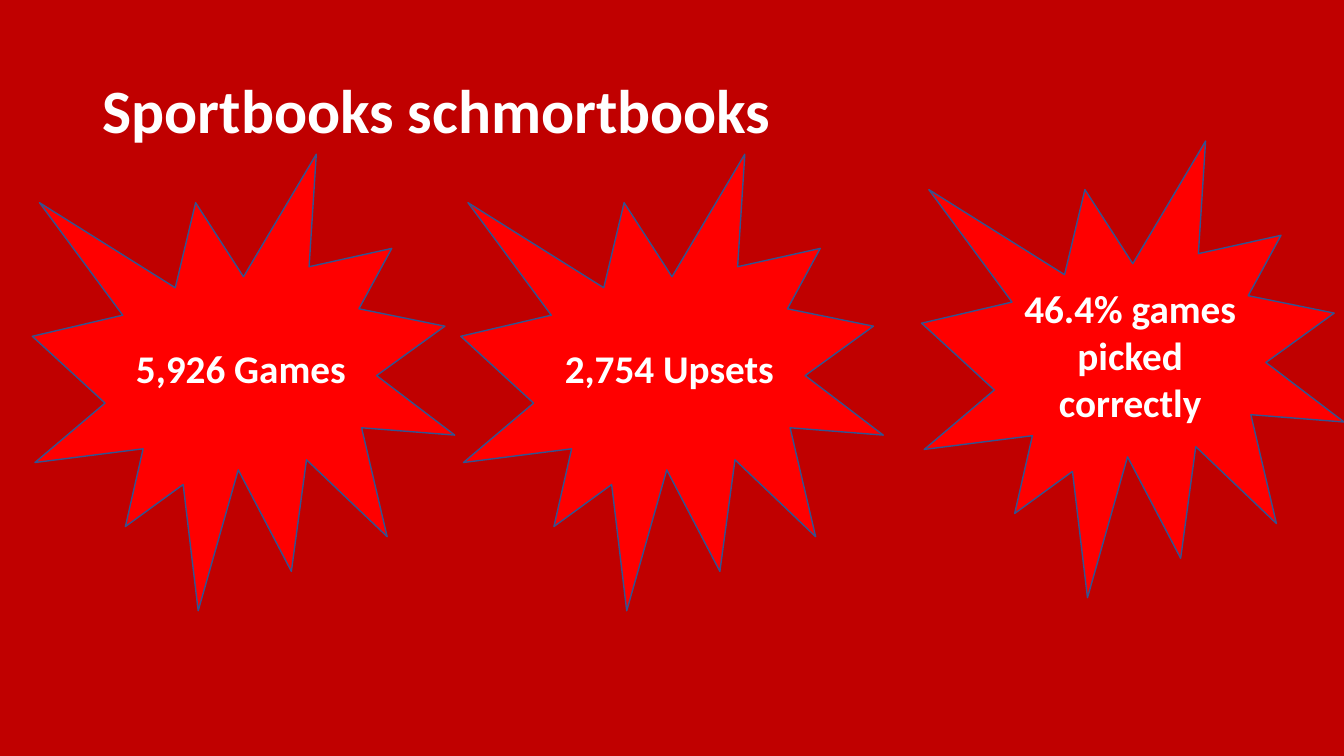
"""Build the slide of three starbursts with betting results."""
from pptx import Presentation
from pptx.dml.color import RGBColor
from pptx.enum.shapes import MSO_SHAPE
from pptx.enum.text import MSO_ANCHOR, PP_ALIGN
from pptx.util import Inches, Pt

BURST = MSO_SHAPE.EXPLOSION1
MIDDLE = MSO_ANCHOR.MIDDLE
LEFT, CENTER = PP_ALIGN.LEFT, PP_ALIGN.CENTER


def paint(color, value):
    """Set a colour from a hex string."""
    color.rgb = RGBColor.from_string(value)


def write(sp, text, size, align, spacing):
    """Put bold white text in the middle of a shape."""
    tf = sp.text_frame
    tf.word_wrap = True
    tf.vertical_anchor = MIDDLE
    p = tf.paragraphs[0]
    p.alignment = align
    p.line_spacing = spacing
    r = p.add_run()
    r.text = text
    for name, value in {"name": "Calibri", "size": Pt(size), "bold": True}.items():
        setattr(r.font, name, value)
    paint(r.font.color, "FFFFFF")


prs = Presentation()
prs.slide_width = Inches(13.33)
prs.slide_height = Inches(7.5)
s = prs.slides.add_slide(prs.slide_layouts[6])
s.background.fill.solid()
paint(s.background.fill.fore_color, "C00000")

title = s.shapes.add_textbox(Inches(0.92), Inches(0.4), Inches(11.5), Inches(1.45))
write(title, "Sportbooks schmortbooks", 44, LEFT, 0.9)

bursts = [
    (0.32, 1.53, "5,926 Games"),
    (4.57, 1.53, "2,754 Upsets"),
    (9.14, 1.4, "46.4% games picked correctly"),
]
for left, top, text in bursts:
    sp = s.shapes.add_shape(BURST, Inches(left), Inches(top), Inches(4.19), Inches(4.53))
    sp.shadow.inherit = False
    sp.fill.solid()
    paint(sp.fill.fore_color, "FF0000")
    paint(sp.line.color, "325491")
    sp.line.width = Pt(1)
    write(sp, text, 28, CENTER, 1.0)

prs.save("out.pptx")
